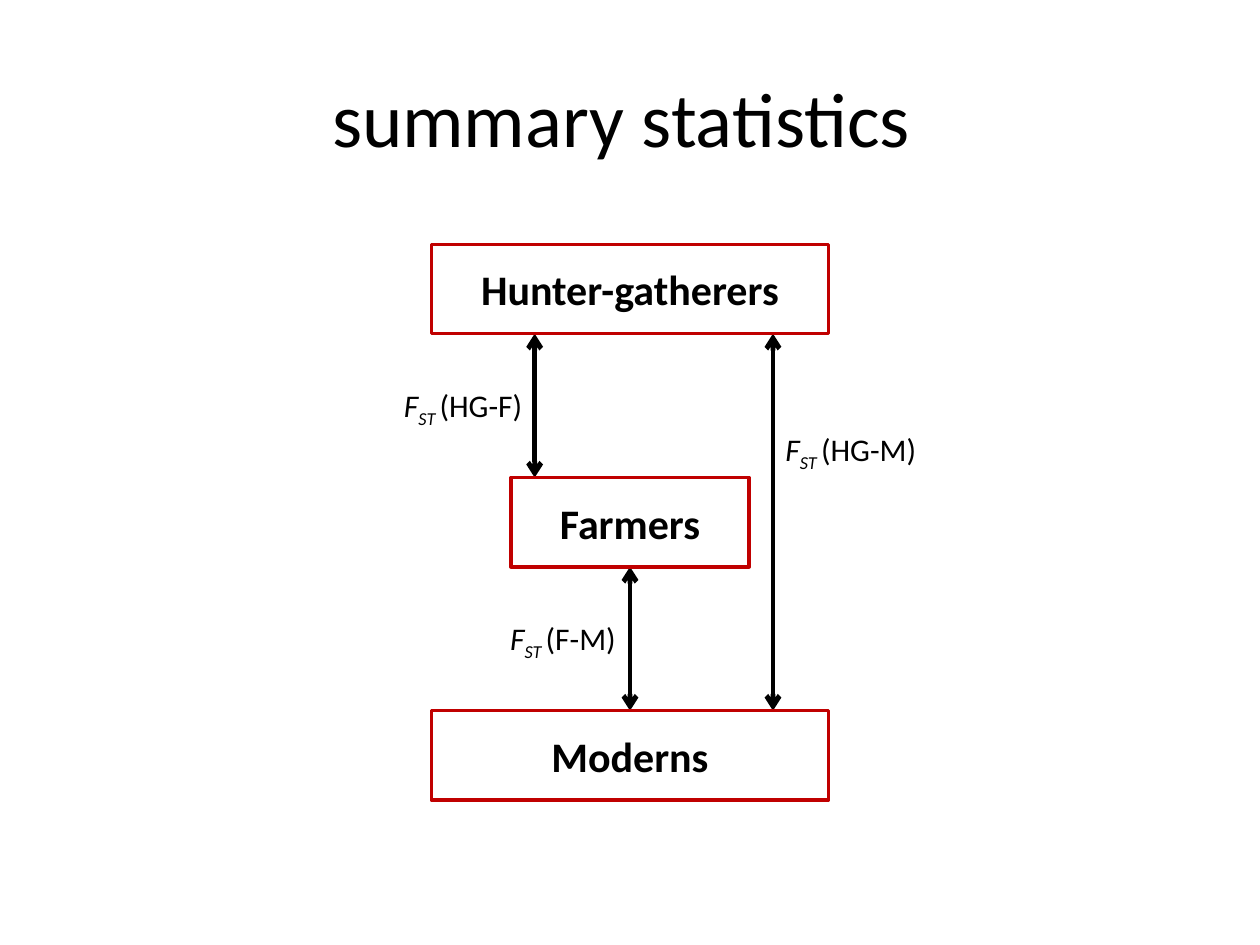
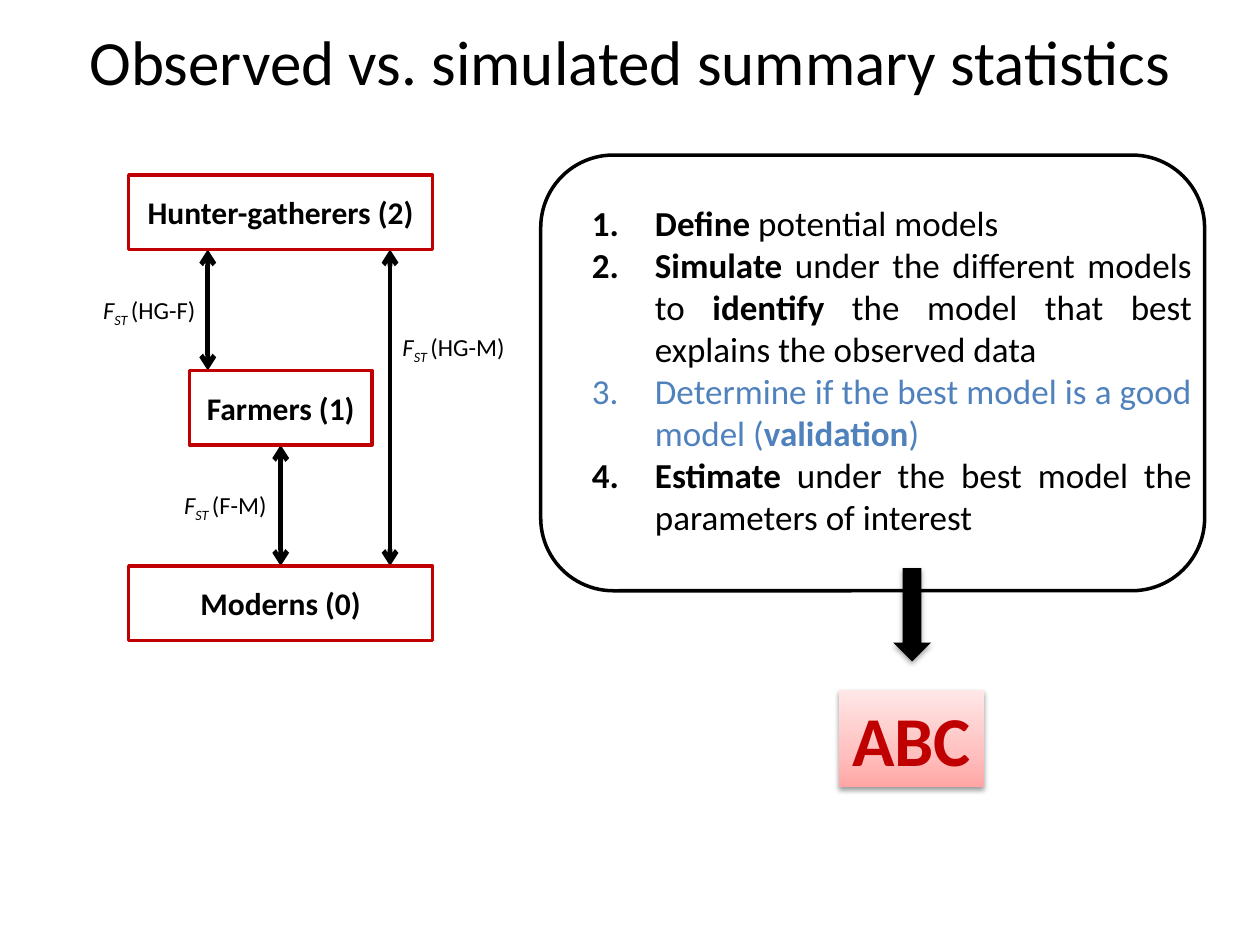
from copy import deepcopy
from dataclasses import dataclass

from lxml.etree import SubElement
from pptx import Presentation
from pptx.dml.color import RGBColor
from pptx.enum.shapes import MSO_CONNECTOR, MSO_SHAPE
from pptx.enum.text import MSO_ANCHOR, PP_ALIGN
from pptx.oxml.ns import qn
from pptx.util import Pt


@dataclass(frozen=True)
class Theme:
    font: str = "Calibri"
    ink: str = "000000"
    paper: str = "FFFFFF"
    red: str = "C00000"
    blue: str = "4F81BD"
    blush: tuple = ((0, "FFA6A5"), (0.35, "FFC0BF"), (1, "FFE7E7"))
    head: int = 44
    subhead: int = 36
    item: int = 20
    badge: int = 40
    edge: float = 2
    arrow: float = 2.75


class Deck:
    def __init__(self, theme):
        self.theme = theme
        self.file = Presentation()
        self.file.slide_width, self.file.slide_height = Pt(720), Pt(540)
        self.slide = None

    def page(self, text, area, size):
        self.slide = self.file.slides.add_slide(self.file.slide_layouts[5])
        title = self.slide.shapes.title
        title.left, title.top, title.width, title.height = map(Pt, area)
        title.text_frame.vertical_anchor = MSO_ANCHOR.MIDDLE
        self.style(title.text_frame.paragraphs[0], [(text, "")], size)

    def style(self, para, runs, size, color=None, align=PP_ALIGN.CENTER, bold=None):
        para.alignment = align
        font = para.font
        font.name, font.size, font.bold = self.theme.font, Pt(size), bold
        font.color.rgb = RGBColor.from_string(color or self.theme.ink)
        for text, marks in runs:
            run = para.add_run()
            run.text = text
            if "b" in marks:
                run.font.bold = True
            if "i" in marks:
                run.font.italic = True
            if "s" in marks:
                run.font._element.set("baseline", "-25000")

    def shape(self, kind, area, fill=None, line=None):
        shape = self.slide.shapes.add_shape(kind, *map(Pt, area))
        shape.shadow.inherit = False
        if fill:
            shape.fill.solid()
            shape.fill.fore_color.rgb = RGBColor.from_string(fill)
        else:
            shape.fill.background()
        if line:
            shape.line.color.rgb = RGBColor.from_string(line)
            shape.line.width = Pt(self.theme.edge)
        else:
            shape.line.fill.background()
        return shape

    def box(self, text, area, size):
        shape = self.shape(MSO_SHAPE.RECTANGLE, area, self.theme.paper, self.theme.red)
        shape.text_frame.vertical_anchor = MSO_ANCHOR.MIDDLE
        self.style(shape.text_frame.paragraphs[0], [(text, "")], size, bold=True)

    def text(self, area):
        frame = self.slide.shapes.add_textbox(*map(Pt, area)).text_frame
        frame.word_wrap = True
        return frame

    def label(self, pair, area, size, align):
        runs = [("F", "i"), ("ST ", "is"), (f"({pair})", "")]
        self.style(self.text(area).paragraphs[0], runs, size, align=align)

    def arrow(self, x, top, end):
        line = self.slide.shapes.add_connector(
            MSO_CONNECTOR.STRAIGHT, Pt(x), Pt(top), Pt(x), Pt(end))
        line.line.color.rgb = RGBColor.from_string(self.theme.ink)
        line.line.width = Pt(self.theme.arrow)
        props = line.element.spPr
        for tip in ("a:headEnd", "a:tailEnd"):
            SubElement(props.find(qn("a:ln")), qn(tip), type="arrow")
        SubElement(props, qn("a:effectLst"))

    def shade(self, shape, alpha, dist):
        effect = shape.element.spPr.find(qn("a:effectLst"))
        cast = SubElement(effect, qn("a:outerShdw"), blurRad=str(Pt(3.1)),
                          dist=str(Pt(dist)), dir="5400000", rotWithShape="0")
        tint = SubElement(cast, qn("a:srgbClr"), val=self.theme.ink)
        SubElement(tint, qn("a:alpha"), val=str(alpha * 1000))

    def badge(self, text, area):
        shape = self.shape(MSO_SHAPE.RECTANGLE, area)
        shape.fill.gradient()
        shape.fill.gradient_angle = 90
        stops = shape.element.spPr.find(qn("a:gradFill")).find(qn("a:gsLst"))
        stops.append(deepcopy(stops[0]))
        for stop, (place, color) in zip(shape.fill.gradient_stops, self.theme.blush):
            stop.position = place
            stop.color.rgb = RGBColor.from_string(color)
        self.shade(shape, 38, 1.6)
        shape.text_frame.word_wrap = False
        self.style(shape.text_frame.paragraphs[0], [(text, "")],
                   self.theme.badge, self.theme.red, bold=True)

    def steps(self, items, area):
        frame = self.text(area)
        for index, (runs, color) in enumerate(items):
            para = frame.add_paragraph() if index else frame.paragraphs[0]
            self.style(para, runs, self.theme.item, color, PP_ALIGN.JUSTIFY)
            props = para._p.get_or_add_pPr()
            props.set("marL", str(Pt(36)))
            props.set("indent", str(Pt(-36)))
            font = SubElement(props, qn("a:buFont"), typeface="+mj-lt")
            mark = SubElement(props, qn("a:buAutoNum"), type="arabicPeriod")
            props.insert(0, font)
            props.insert(1, mark)

    def model(self, names, mid, top, wide, high, step, sizes):
        big, small = sizes
        left, right = mid - 0.24 * wide, mid + 0.36 * wide
        for x, start, end in ((left, 0, 1), (mid, 1, 2), (right, 0, 2)):
            self.arrow(x, top + start * step + high, top + end * step)
        for row, (name, part) in enumerate(zip(names, (1, 0.6, 1))):
            span = part * wide
            self.box(name, (mid - span / 2, top + row * step, span, high), big)
        span = 0.52 * wide
        for pair, x, row, align in (
            ("HG-M", right, 0.77, PP_ALIGN.LEFT),
            ("HG-F", left - span, 0.58, PP_ALIGN.RIGHT),
            ("F-M", mid - 1 - span, 1.58, PP_ALIGN.RIGHT),
        ):
            self.label(pair, (x, top + row * step, span, 1.6 * small), small, align)


def main():
    theme = Theme()
    deck = Deck(theme)
    groups = ("Hunter-gatherers", "Farmers", "Moderns")

    deck.page("summary statistics ", (36, 21.6, 648, 90), theme.head)
    deck.model(groups, 360, 139.7, 227, 51, 133.2, (24, 18))

    deck.page("Observed vs. simulated summary statistics",
              (36, 3.6, 648, 62), theme.subhead)
    dated = [f"{name} ({2 - row})" for row, name in enumerate(groups)]
    deck.model(dated, 160.4, 100, 173.6, 42.6, 111.7, (18, 14))
    deck.badge("ABC", (479.5, 394.5, 82.8, 55.5))
    down = deck.shape(MSO_SHAPE.DOWN_ARROW, (510.4, 324.7, 21.6, 53.3), theme.ink)
    deck.shade(down, 35, 1.8)
    deck.steps((
        ([("Define", "b"), (" potential models", "")], theme.ink),
        ([("Simulate", "b"), (" under the different models to ", ""),
          ("identify", "b"),
          (" the model that best explains the observed data", "")], theme.ink),
        ([("Determine if the best model is a good model (", ""),
          ("validation", "b"), (")", "")], theme.blue),
        ([("Estimate", "b"),
          (" under the best model the parameters of interest", "")], theme.ink),
    ), (331.2, 111.6, 357, 201))
    deck.shape(MSO_SHAPE.ROUNDED_RECTANGLE, (309, 88.6, 379.4, 249), line=theme.ink)

    deck.file.save("out.pptx")


if __name__ == "__main__":
    main()
